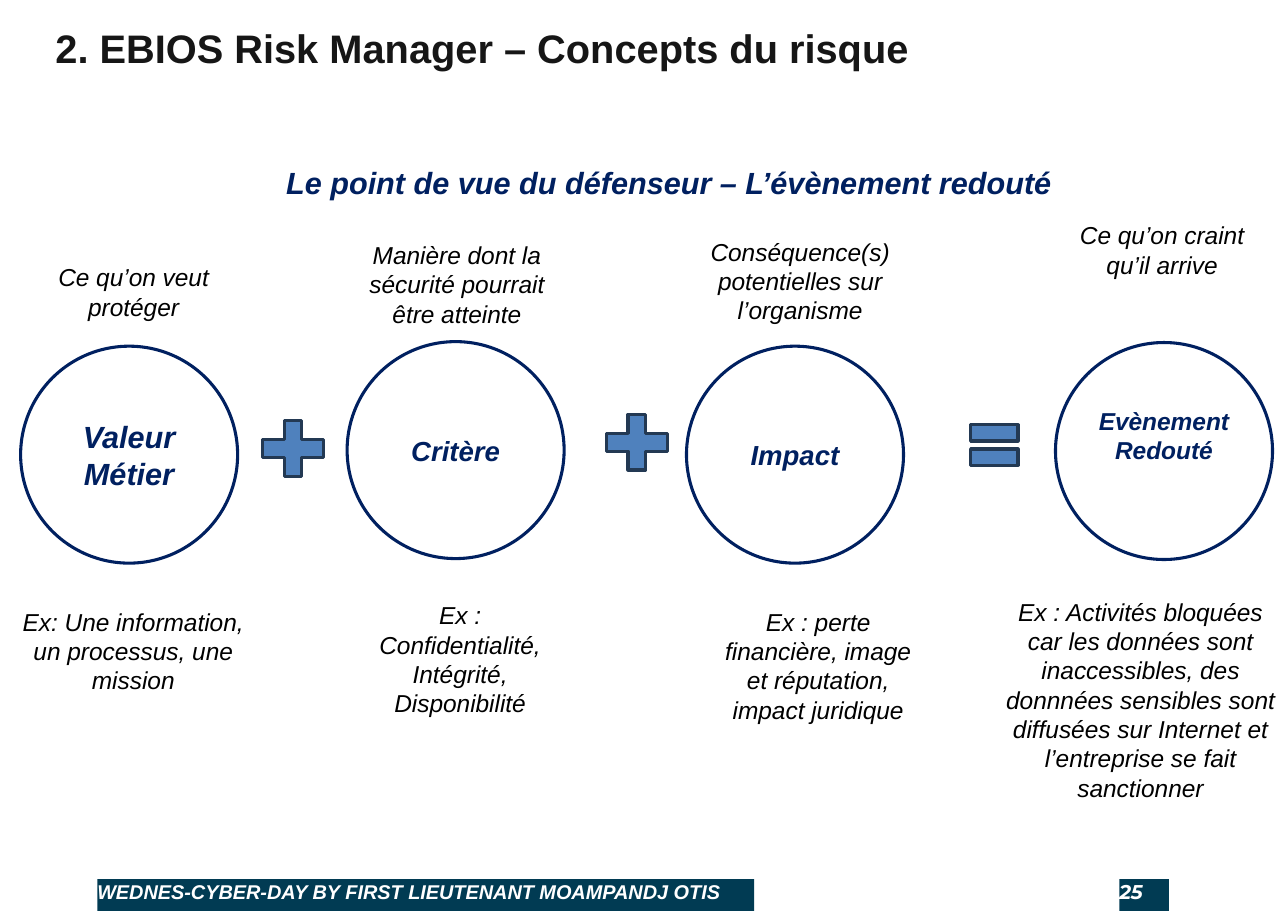
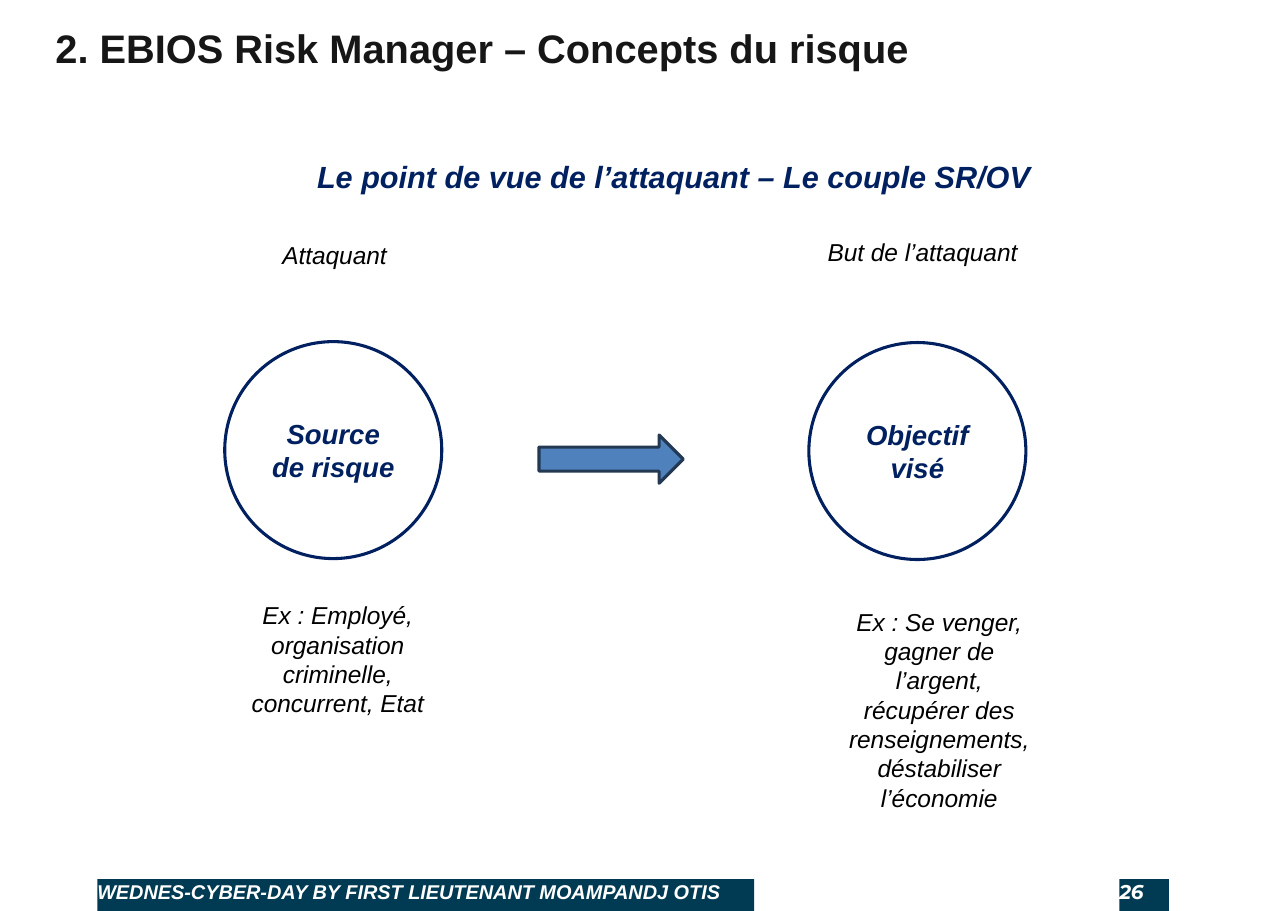
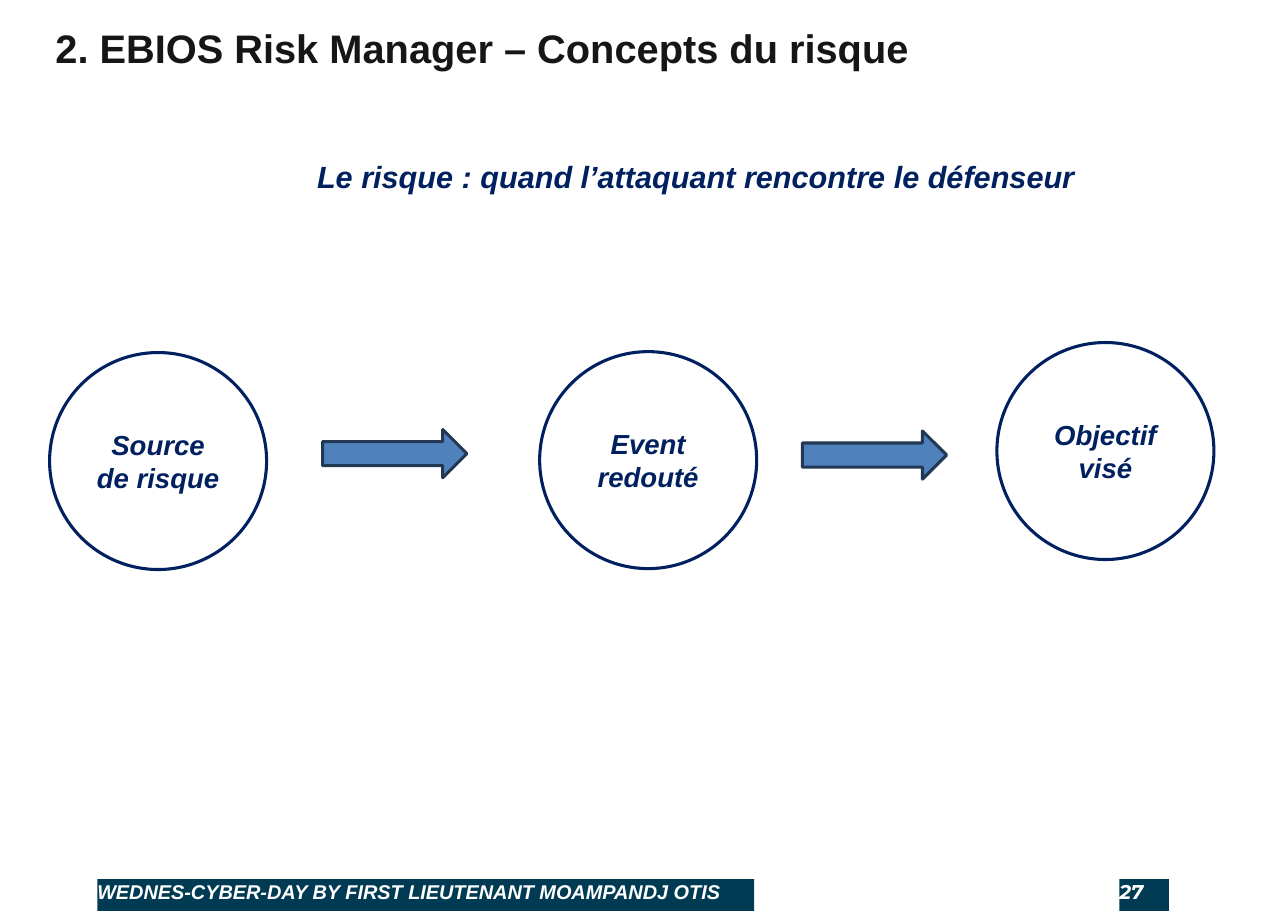
from dataclasses import dataclass

from pptx import Presentation
from pptx.dml.color import RGBColor
from pptx.enum.shapes import MSO_SHAPE
from pptx.enum.text import MSO_ANCHOR, MSO_AUTO_SIZE, PP_ALIGN
from pptx.util import Inches, Pt

OVAL, RECT = MSO_SHAPE.OVAL, MSO_SHAPE.RECTANGLE
PLUS, EQUAL = MSO_SHAPE.MATH_PLUS, MSO_SHAPE.MATH_EQUAL
ARROW = MSO_SHAPE.RIGHT_ARROW
TOP, MIDDLE = MSO_ANCHOR.TOP, MSO_ANCHOR.MIDDLE
LEFT, CENTER = PP_ALIGN.LEFT, PP_ALIGN.CENTER
FIT, FIXED = MSO_AUTO_SIZE.SHAPE_TO_FIT_TEXT, MSO_AUTO_SIZE.NONE

NAVY = RGBColor(0x00, 0x20, 0x60)
TEAL = RGBColor(0x01, 0x3B, 0x53)
BLUE = RGBColor(0x4F, 0x81, 0xBD)
SLATE = RGBColor(0x23, 0x39, 0x53)
INK = RGBColor(0x16, 0x16, 0x16)
BLACK = RGBColor(0, 0, 0)
WHITE = RGBColor(0xFF, 0xFF, 0xFF)

# The grid has 100 columns and 100 rows.
WIDE, HIGH = Inches(11.69), Inches(8.27)
COL, ROW = WIDE / 100, HIGH / 100
DISC = 16.85  # columns
SIGNS = {PLUS: (6.5, 8.3), EQUAL: (5, 7.5), ARROW: (11.2, 5.3)}

TITLE = "2. EBIOS Risk Manager – Concepts du risque"
FOOTER = "WEDNES-CYBER-DAY BY FIRST LIEUTENANT MOAMPANDJ OTIS"
FIRST = 25

HEAD = dict(name="Arial", size=Pt(26), bold=True, italic=False, color=INK)
LEAD = dict(name="Arial", size=Pt(20), bold=True, italic=True, color=NAVY)
NOTE = dict(name="Arial", size=Pt(16), bold=False, italic=True, color=BLACK)
FOOT = dict(name="Arial", size=Pt(13), bold=True, italic=True, color=WHITE)
PAGE = {**FOOT, "name": "Montserrat"}

NO_PAD = dict(margin_left=0, margin_right=0, margin_top=0, margin_bottom=0)
PLAIN = dict(vertical_anchor=TOP, word_wrap=False, auto_size=FIXED, **NO_PAD)
FLOW = dict(vertical_anchor=TOP, word_wrap=True, auto_size=FIT)
INNER = dict(vertical_anchor=MIDDLE, word_wrap=True)


@dataclass
class Disc:
    x: float
    y: float
    text: str
    size: int = 18
    lift: float = 0  # rows kept free under the text


@dataclass
class Sign:
    kind: int
    x: float
    y: float


@dataclass
class Note:
    x: float
    y: float
    text: str
    lines: int
    w: float = DISC


@dataclass
class Lead:
    x: float
    y: float
    w: float
    text: str


@dataclass
class Page:
    lead: Lead
    discs: list[Disc]
    signs: list[Sign]
    notes: list[Note]


def area(x: float, y: float, w: float, h: float) -> tuple[int, ...]:
    """Turn columns and rows into lengths."""
    return tuple(round(n) for n in (x * COL, y * ROW, w * COL, h * ROW))


def write(shape, text: str, font: dict, frame: dict, align=LEFT):
    body = shape.text_frame
    body.text = text
    for key, value in frame.items():
        setattr(body, key, value)
    para = body.paragraphs[0]
    para.alignment = align
    for key, value in font.items():
        if key == "color":
            para.font.color.rgb = value
        else:
            setattr(para.font, key, value)
    return para


def draw(slide, kind: int, box: tuple, fill: RGBColor, line: RGBColor | None):
    shape = slide.shapes.add_shape(kind, *box)
    shape.shadow.inherit = False
    shape.fill.solid()
    shape.fill.fore_color.rgb = fill
    if line is None:
        shape.line.fill.background()
    else:
        shape.line.color.rgb = line
        shape.line.width = Pt(2)
    return shape


def add_disc(slide, disc: Disc) -> None:
    box = area(disc.x, disc.y, DISC, DISC * COL / ROW)
    shape = draw(slide, OVAL, box, WHITE, NAVY)
    pad = Inches(0.05) + round(disc.lift * ROW)
    write(shape, disc.text, {**LEAD, "size": Pt(disc.size)},
          {**INNER, "margin_bottom": pad}, CENTER)


def add_sign(slide, sign: Sign) -> None:
    draw(slide, sign.kind, area(sign.x, sign.y, *SIGNS[sign.kind]), BLUE, SLATE)


def add_note(slide, note: Note) -> None:
    box = area(note.x, note.y, note.w, 1.2 + 3.27 * note.lines)
    write(slide.shapes.add_textbox(*box), note.text, NOTE, FLOW, CENTER)


def add_lead(slide, lead: Lead) -> None:
    shape = slide.shapes.add_textbox(*area(lead.x, lead.y, lead.w, 5.3))
    para = write(shape, lead.text, LEAD, FLOW)
    para._p.get_or_add_pPr().set("marL", str(Inches(0.5)))


def add_frame(slide, num: int) -> None:
    """Draw the title and the footer bands."""
    title = slide.shapes.title
    title.left, title.top, title.width, title.height = area(4.3, 2.65, 67, 4.85)
    write(title, TITLE, HEAD, PLAIN)
    for x, w, text, font in ((86.9, 3.85, str(num), PAGE),
                             (7.55, 51, FOOTER, FOOT)):
        band = draw(slide, RECT, area(x, 96.5, w, 3.5), TEAL, None)
        write(band, text, font, PLAIN)


PAGES = [
    Page(
        Lead(17.1, 17.4, 65.8,
             "Le point de vue du défenseur – L’évènement redouté"),
        [Disc(1.6, 38, "Valeur Métier", 20),
         Disc(26.95, 37.5, "Critère"),
         Disc(53.3, 38, "Impact"),
         Disc(81.95, 37.6, "Evènement Redouté", 16, 3.5)],
        [Sign(PLUS, 19.5, 45.1), Sign(PLUS, 46.2, 44.4),
         Sign(EQUAL, 74.7, 45.1)],
        [Note(1.95, 28.2, "Ce qu’on veut protéger", 2),
         Note(0.85, 66, "Ex: Une information, un processus, une mission",
              3, 19),
         Note(27.05, 25.75,
              "Manière dont la sécurité pourrait être atteinte", 3),
         Note(27.3, 65.3,
              "Ex : Confidentialité, Intégrité, Disponibilité", 4),
         Note(53.7, 25.4, "Conséquence(s) potentielles sur l’organisme", 3),
         Note(55.1, 66, "Ex : perte financière, image et réputation, "
              "impact juridique", 4),
         Note(81.8, 23.6, "Ce qu’on craint qu’il arrive", 2),
         Note(77.25, 64.9, "Ex : Activités bloquées car les données sont "
              "inaccessibles, des donnnées sensibles sont diffusées sur "
              "Internet et l’entreprise se fait sanctionner", 7, 22.6)],
    ),
    Page(
        Lead(19.5, 16.7, 68.2,
             "Le point de vue de l’attaquant – Le couple SR/OV"),
        [Disc(17.45, 37.5, "Source de risque"),
         Disc(62.8, 37.6, "Objectif visé")],
        [Sign(ARROW, 41.85, 47.75)],
        [Note(17.55, 25.75, "Attaquant", 1),
         Note(17.8, 65.3, "Ex : Employé, organisation criminelle, "
              "concurrent, Etat", 4),
         Note(63.2, 25.4, "But de l’attaquant", 1),
         Note(64.5, 66, "Ex : Se venger, gagner de l’argent, récupérer des "
              "renseignements, déstabiliser l’économie", 7)],
    ),
    Page(
        Lead(19.5, 16.7, 68.2,
             "Le risque : quand l’attaquant rencontre le défenseur"),
        [Disc(3.85, 38.7, "Source de risque"),
         Disc(41.9, 38.6, "Event redouté"),
         Disc(77.4, 37.6, "Objectif visé")],
        [Sign(ARROW, 25.05, 47.15), Sign(ARROW, 62.3, 47.3)],
        [],
    ),
]


def main() -> None:
    deck = Presentation()
    deck.slide_width, deck.slide_height = WIDE, HIGH
    for num, page in enumerate(PAGES, FIRST):
        slide = deck.slides.add_slide(deck.slide_layouts[5])
        add_frame(slide, num)
        for disc in page.discs:
            add_disc(slide, disc)
        for sign in page.signs:
            add_sign(slide, sign)
        for note in page.notes:
            add_note(slide, note)
        add_lead(slide, page.lead)
    deck.save("out.pptx")


if __name__ == "__main__":
    main()
